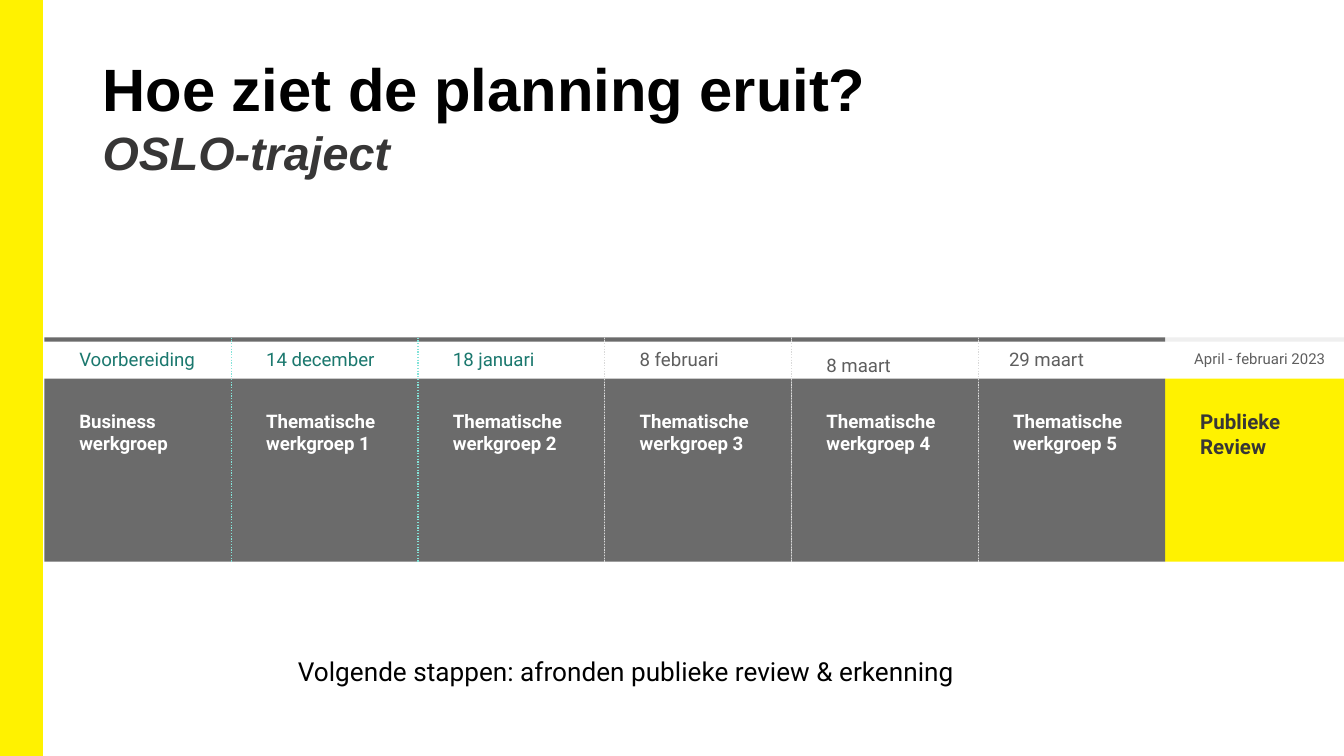
from dataclasses import dataclass

from lxml.etree import SubElement
from pptx import Presentation
from pptx.dml.color import RGBColor
from pptx.enum.dml import MSO_LINE
from pptx.enum.shapes import MSO_CONNECTOR, MSO_SHAPE
from pptx.enum.text import MSO_ANCHOR, PP_ALIGN
from pptx.oxml.ns import qn
from pptx.util import Cm, Pt


@dataclass(frozen=True)
class Theme:
    yellow: str = "FFF200"
    gray: str = "6B6B6B"
    pale: str = "EFEFEF"
    white: str = "FFFFFF"
    black: str = "000000"
    dark: str = "373636"
    date: str = "5E5E5E"
    teal: str = "1B786E"
    mint: str = "83E3D9"
    silver: str = "D9D9D9"
    heading_font: str = "Arial"
    body_font: str = "Roboto"
    title_size: int = 32
    subtitle_size: int = 25
    footer_size: int = 14
    review_size: int = 11
    step_size: int = 10
    small_size: int = 8


@dataclass(frozen=True)
class Step:
    date: str
    name: str
    date_color: str
    divider: str = ""
    fill: str = Theme.gray
    bar: str = Theme.gray
    name_color: str = Theme.white
    name_size: int = Theme.step_size
    date_size: int = Theme.step_size
    date_indent: float = 0.41
    date_width: float = 2.72
    date_height: float = 0.38
    width: float = 3.53


THEME = Theme()

# Timeline geometry in centimetres
SLIDE_WIDTH, SLIDE_HEIGHT = 25.4, 14.29
TIMELINE_LEFT, TIMELINE_TOP, TIMELINE_BOTTOM = 0.84, 6.38, 10.62
STEP_WIDTH, PANEL_TOP, BAR_HEIGHT = 3.53, 7.16, 0.08
NAME_TOP, NAME_INDENT = 7.49, 0.41

STEPS = [
    Step("Voorbereiding", "Business werkgroep", THEME.teal, THEME.mint),
    Step("14 december", "Thematische werkgroep 1", THEME.teal, THEME.mint),
    Step("18 januari", "Thematische werkgroep 2", THEME.teal, THEME.silver),
    Step("8 februari", "Thematische werkgroep 3", THEME.date, THEME.silver),
    Step("8 maart", "Thematische werkgroep 4", THEME.date, THEME.silver,
         date_height=0.51),
    Step("29 maart", "Thematische werkgroep 5", THEME.date, date_indent=0.33),
    Step("April - februari 2023", "Publieke Review", THEME.date,
         fill=THEME.yellow, bar=THEME.pale, name_color=THEME.dark,
         name_size=THEME.review_size, date_size=THEME.small_size,
         date_indent=0.3, date_width=3.02, width=3.38),
]


def write(para, text, *, size, color, font=THEME.body_font, bold=False,
          italic=False, line_spacing=None):
    """Add one formatted span to a paragraph."""
    para.alignment = PP_ALIGN.LEFT
    if line_spacing:
        para.line_spacing = line_spacing
    span = para.add_run()
    span.text = text
    span.font.name = font
    span.font.size = Pt(size)
    span.font.bold = bold
    span.font.italic = italic
    span.font.color.rgb = RGBColor.from_string(color)


def set_frame(frame, horizontal, top, bottom):
    frame.word_wrap = True
    frame.vertical_anchor = MSO_ANCHOR.TOP
    frame.margin_left = frame.margin_right = Cm(horizontal)
    frame.margin_top, frame.margin_bottom = Cm(top), Cm(bottom)


def add_label(shapes, text, left, top, width, height, **text_format):
    box = shapes.add_textbox(Cm(left), Cm(top), Cm(width), Cm(height))
    set_frame(box.text_frame, 0.25, 0.25, 0.25)
    write(box.text_frame.paragraphs[0], text, **text_format)


def add_block(shapes, left, top, width, height, color):
    block = shapes.add_shape(MSO_SHAPE.RECTANGLE, Cm(left), Cm(top),
                             Cm(width), Cm(height))
    block.shadow.inherit = False
    block.fill.solid()
    block.fill.fore_color.rgb = RGBColor.from_string(color)
    block.line.fill.background()
    return block


def add_divider(shapes, x, color):
    divider = shapes.add_connector(MSO_CONNECTOR.STRAIGHT, Cm(x),
                                   Cm(TIMELINE_TOP), Cm(x), Cm(TIMELINE_BOTTOM))
    divider.line.color.rgb = RGBColor.from_string(color)
    divider.line.width = Pt(0.75)
    divider.line.dash_style = MSO_LINE.ROUND_DOT
    SubElement(divider._element.spPr, qn("a:effectLst"))


def add_title(slide, title, subtitle):
    box = slide.shapes.title
    box.left, box.top, box.width, box.height = Cm(1.75), Cm(0.76), Cm(21.9), Cm(2.06)
    frame = box.text_frame
    set_frame(frame, 0.19, 0.22, 0.1)
    write(frame.paragraphs[0], title, size=THEME.title_size,
          color=THEME.black, font=THEME.heading_font, bold=True)
    write(frame.add_paragraph(), subtitle, size=THEME.subtitle_size,
          color=THEME.dark, font=THEME.heading_font, bold=True, italic=True)


def add_step(slide, index, step):
    left = TIMELINE_LEFT + index * STEP_WIDTH
    shapes = slide.shapes.add_group_shape().shapes
    add_block(shapes, left, PANEL_TOP, step.width,
              TIMELINE_BOTTOM - PANEL_TOP, step.fill)
    add_block(shapes, left, TIMELINE_TOP, step.width, BAR_HEIGHT, step.bar)
    if step.divider:
        add_divider(shapes, left + step.width, step.divider)
    add_label(shapes, step.name, left + NAME_INDENT, NAME_TOP, 2.72, 1.02,
              size=step.name_size, color=step.name_color, bold=True)
    add_label(shapes, step.date, left + step.date_indent, TIMELINE_TOP,
              step.date_width, step.date_height, size=step.date_size,
              color=step.date_color, line_spacing=1.15)


def main():
    deck = Presentation()
    deck.slide_width, deck.slide_height = Cm(SLIDE_WIDTH), Cm(SLIDE_HEIGHT)
    page = deck.slides.add_slide(deck.slide_layouts[5])

    # Side band and title
    band = add_block(page.shapes, 0, 0, 0.8, SLIDE_HEIGHT, THEME.yellow)
    band.line.color.rgb = RGBColor.from_string(THEME.yellow)
    band.line.width = Pt(1)
    add_title(page, "Hoe ziet de planning eruit?", "OSLO-traject")

    # Timeline, last step first so that each divider lies above its neighbour
    for index, step in reversed(list(enumerate(STEPS))):
        add_step(page, index, step)

    # Next steps
    add_label(page.shapes, "Volgende stappen: afronden publieke review & erkenning",
              5.38, 12.14, 14.63, 1.12, size=THEME.footer_size, color=THEME.black)

    deck.save("out.pptx")


if __name__ == "__main__":
    main()
